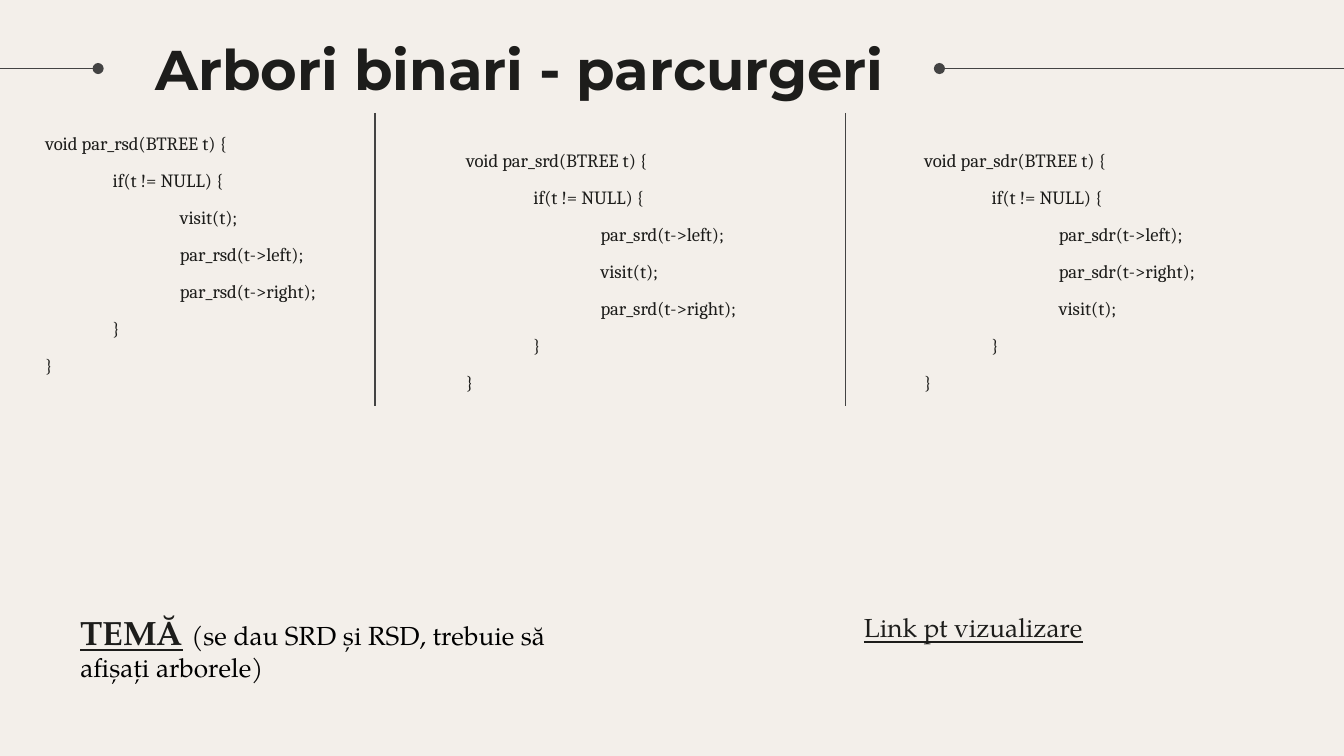
import pptx
import pptx.dml.color
import pptx.enum.shapes
import pptx.enum.text
import pptx.oxml.ns
import pptx.util
from lxml import etree

Pt = pptx.util.Pt
qn = pptx.oxml.ns.qn

# Content
INK, BLACK, LINE, PAPER = "1D1D1B", "000000", "434343", "F3EFEA"
SERIF = "TeX Gyre Pagella"
TITLE = "Arbori binari - parcurgeri"
INDENT = 36

# Traversal: left, top, width, statements in visiting order
TRAVERSALS = [
    ("par_rsd", 17.28, 61.92, 197.28, ["visit(t);", "par_rsd(t->left);", "par_rsd(t->right);"]),
    ("par_srd", 242.64, 70.56, 187.92, ["par_srd(t->left);", "visit(t);", "par_srd(t->right);"]),
    ("par_sdr", 488.16, 70.56, 169.2, ["par_sdr(t->left);", "par_sdr(t->right);", "visit(t);"]),
]
# Text, size, colour, bold, underline
TASK = [
    ("TEMĂ", 18, INK, True, True),
    (" ", 18, BLACK, True, False),
    ("(se dau SRD și RSD, trebuie să afișați arborele)", 14, BLACK, False, False),
]
LINK = [("Link pt vizualizare", 14, INK, False, True)]
# x1, y1, x2, y2, dot at the start
LINES = [
    (52.56, 36.72, 0, 36.72, True),
    (503.28, 36.72, 720.72, 36.72, True),
    (200.88, 60.48, 200.88, 217.44, False),
    (452.88, 60.48, 452.88, 217.44, False),
]


def color(value):
    return pptx.dml.color.RGBColor.from_string(value)


def add_box(left, top, width, height):
    tf = slide.shapes.add_textbox(Pt(left), Pt(top), Pt(width), Pt(height)).text_frame
    tf.word_wrap = True
    tf.margin_left = tf.margin_right = tf.margin_top = tf.margin_bottom = Pt(7.2)
    return tf


def style(r, font, size, ink=INK, bold=False, underline=False):
    r.font.name = font
    r.font.size = Pt(size)
    r.font.bold = bold
    r.font.underline = underline
    r.font.color.rgb = color(ink)


def add_runs(tf, runs):
    for text, *look in runs:
        r = tf.paragraphs[0].add_run()
        r.text = text
        style(r, SERIF, *look)


def add_code(tf, lines):
    tf.text = "\n".join(text for text, level in lines)
    for i, (p, (text, level)) in enumerate(zip(tf.paragraphs, lines)):
        p._p.get_or_add_pPr().set("marL", str(Pt(level * INDENT)))
        p.line_spacing = 1.15
        p.space_before = Pt(6 if i else 0)
        style(p.runs[0], "Cambria", 10)


def add_line(x1, y1, x2, y2, dot):
    sp = slide.shapes.add_connector(
        pptx.enum.shapes.MSO_CONNECTOR.STRAIGHT, Pt(x1), Pt(y1), Pt(x2), Pt(y2))
    sp.line.color.rgb = color(LINE)
    sp.line.width = Pt(0.75)
    if dot:
        etree.SubElement(sp.line._get_or_add_ln(), qn("a:headEnd"), type="oval")
    etree.SubElement(sp._element.spPr, qn("a:effectLst"))


prs = pptx.Presentation()
prs.slide_width, prs.slide_height = Pt(720), Pt(405)
slide = prs.slides.add_slide(prs.slide_layouts[6])
slide.background.fill.solid()
slide.background.fill.fore_color.rgb = color(PAPER)

# Title rules and column dividers
for line in LINES:
    add_line(*line)

# Title
tf = add_box(76.32, 2.88, 485.28, 67.68)
tf.vertical_anchor = pptx.enum.text.MSO_ANCHOR.MIDDLE
tf.text = TITLE
style(tf.paragraphs[0].runs[0], "Montserrat", 30, bold=True)

# Code columns
for name, left, top, width, statements in TRAVERSALS:
    lines = [(f"void {name}(BTREE t) {{", 0), ("if(t != NULL) {", 1)]
    lines += [(text, 2) for text in statements]
    lines += [("}", 1), ("}", 0)]
    add_code(add_box(left, top, width, 146.88), lines)

# Task and link
add_runs(add_box(36, 320.4, 268.56, 54), TASK)
add_runs(add_box(455.76, 320.4, 133.2, 63.36), LINK)

prs.save("out.pptx")
